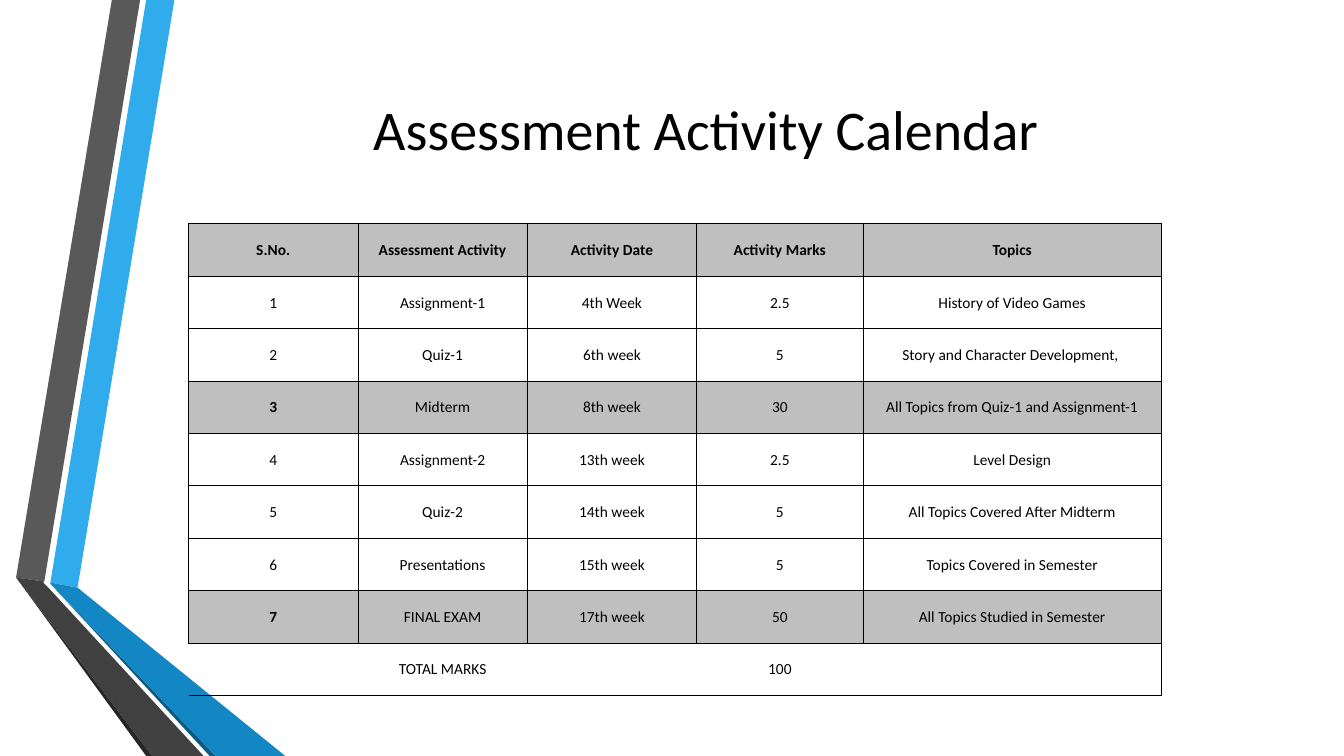
import pptx
import pptx.dml.color
import pptx.enum.text
import pptx.oxml
import pptx.oxml.ns
import pptx.util

PX = 9144
COLORS = {
    "sky": "30ACEC", "gray": "595959", "ink": "262626", "navy": "0C5A82",
    "blue": "1287C3", "charcoal": "404040", "band": "BFBFBF", "text": "000000",
}
FONT = "Calibri"
SLIDE_SIZE = (1333, 750)
RIBBONS = [
    ("sky", [(50, 578), (77, 583), (173, 0), (145, 0)]),
    ("gray", [(139, 0), (111, 0), (16, 573), (44, 577)]),
    ("ink", [(16, 573), (145, 750), (151, 750)]),
    ("navy", [(50, 579), (208, 750), (214, 750)]),
    ("blue", [(50, 579), (214, 750), (283, 750), (77, 583), (50, 578)]),
    ("charcoal", [(202, 750), (48, 583), (43, 578), (44, 577), (16, 573), (151, 750)]),
]
TITLE = "Assessment Activity Calendar"
TITLE_BOX = (152, 31, 1096, 192)
CALENDAR = [
    ("S.No.", "Assessment Activity", "Activity Date", "Activity Marks", "Topics"),
    ("1", "Assignment-1", "4th Week", "2.5", "History of Video Games"),
    ("2", "Quiz-1", "6th week", "5", "Story and Character Development, "),
    ("3", "Midterm", "8th week", "30", "All Topics from Quiz-1 and Assignment-1"),
    ("4", "Assignment-2", "13th week", "2.5", "Level Design"),
    ("5", "Quiz-2", "14th week", "5", "All Topics Covered After Midterm"),
    ("6", "Presentations", "15th week", "5", "Topics Covered in Semester"),
    ("7", "FINAL EXAM", "17th week", "50", "All Topics Studied in Semester"),
    ("", "TOTAL MARKS", "", "100", ""),
]
EXAM_ROWS = (3, 7)
CALENDAR_CORNER = (187, 222)
COLUMN_WIDTHS = (168, 168, 168, 165, 296)
ROW_HEIGHT = 52


def px(length):
    return pptx.util.Emu(length * PX)


def rgb(name):
    return pptx.dml.color.RGBColor.from_string(COLORS[name])


def write(frame, words, size, bold=False):
    frame.vertical_anchor = pptx.enum.text.MSO_ANCHOR.MIDDLE
    line = frame.paragraphs[0]
    line.alignment = pptx.enum.text.PP_ALIGN.CENTER
    if words:
        run = line.add_run()
        run.text = words
        run.font.name = FONT
        run.font.size = pptx.util.Pt(size)
        run.font.bold = bold
        run.font.color.rgb = rgb("text")


def draw_borders(cell, shown):
    properties = cell._tc.get_or_add_tcPr()
    for place, side in enumerate("LRTB"):
        paint = "<a:noFill/>"
        if side in shown:
            paint = f'<a:solidFill><a:srgbClr val="{COLORS["text"]}"/></a:solidFill>'
        border = pptx.oxml.parse_xml(
            f'<a:ln{side} {pptx.oxml.ns.nsdecls("a")} w="6350">{paint}</a:ln{side}>')
        properties.insert(place, border)


def add_ribbons(slide):
    for color, corners in RIBBONS:
        outline = slide.shapes.build_freeform(*corners[0], scale=PX)
        outline.add_line_segments(corners[1:], close=True)
        ribbon = outline.convert_to_shape()
        ribbon.shadow.inherit = False
        ribbon.fill.solid()
        ribbon.fill.fore_color.rgb = rgb(color)
        ribbon.line.fill.background()


def add_calendar(slide):
    last_row, last_column = len(CALENDAR) - 1, len(COLUMN_WIDTHS) - 1
    calendar = slide.shapes.add_table(
        len(CALENDAR), len(COLUMN_WIDTHS), *map(px, CALENDAR_CORNER),
        px(sum(COLUMN_WIDTHS)), px(ROW_HEIGHT * len(CALENDAR))).table
    calendar.first_row = False
    calendar.horz_banding = False
    for column, width in zip(calendar.columns, COLUMN_WIDTHS):
        column.width = px(width)
    for r, entries in enumerate(CALENDAR):
        calendar.rows[r].height = px(ROW_HEIGHT)
        for c, words in enumerate(entries):
            cell = calendar.cell(r, c)
            cell.margin_left = cell.margin_right = cell.margin_top = px(1)
            cell.margin_bottom = 0
            write(cell.text_frame, words, 11, r == 0 or (r in EXAM_ROWS and c == 0))
            cell.vertical_anchor = pptx.enum.text.MSO_ANCHOR.MIDDLE
            if r == 0 or r in EXAM_ROWS:
                cell.fill.solid()
                cell.fill.fore_color.rgb = rgb("band")
            else:
                cell.fill.background()
            shown = "LRTB"
            if r == last_row:
                shown = "RTB" if c == last_column else "TB"
            draw_borders(cell, shown)


def main():
    deck = pptx.Presentation()
    deck.slide_width, deck.slide_height = map(px, SLIDE_SIZE)
    slide = deck.slides.add_slide(deck.slide_layouts[6])
    add_ribbons(slide)
    title = slide.shapes.add_textbox(*map(px, TITLE_BOX)).text_frame
    title.word_wrap = True
    write(title, TITLE, 40)
    add_calendar(slide)
    deck.save("out.pptx")


if __name__ == "__main__":
    main()
